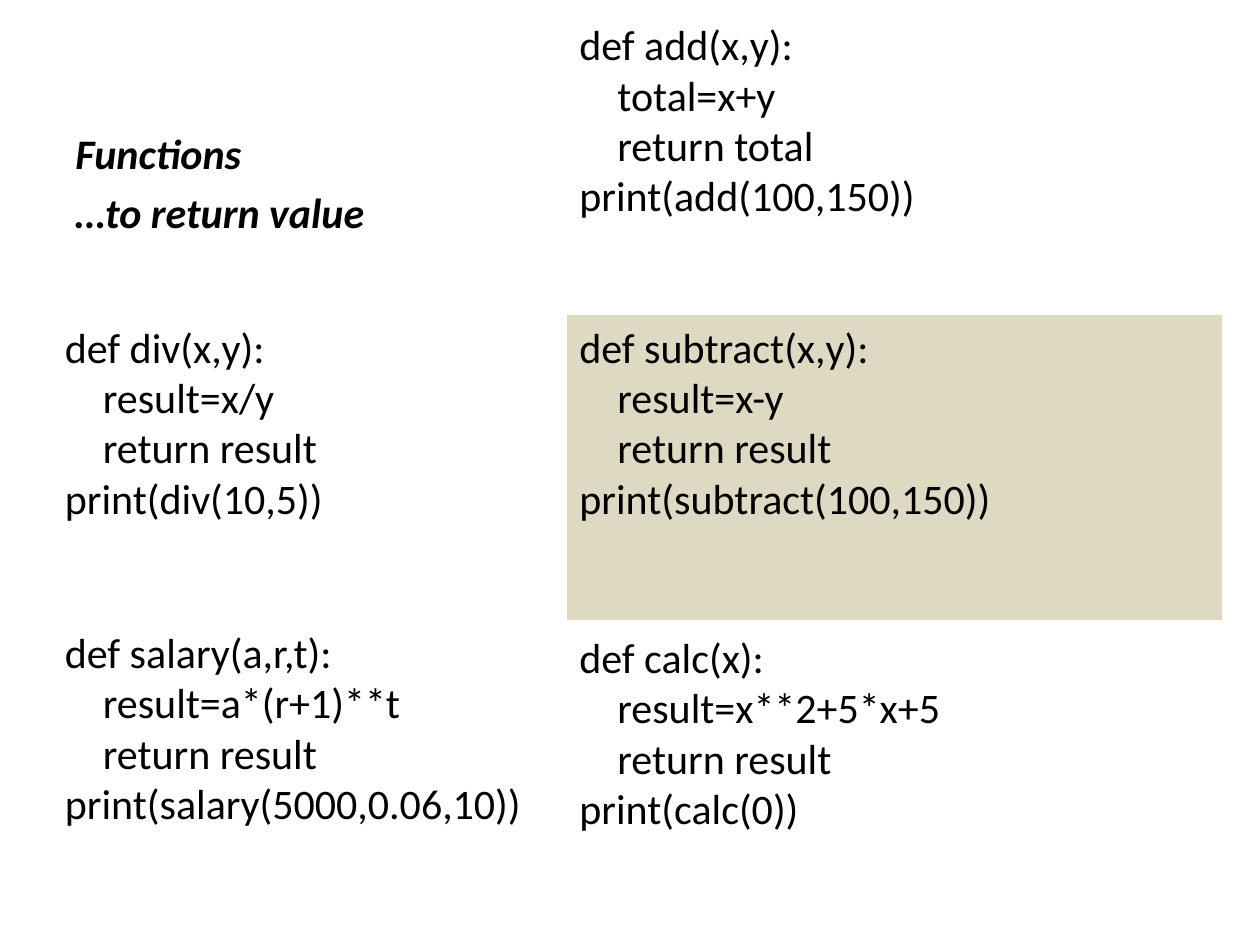
from pptx import Presentation
from pptx.dml.color import RGBColor
from pptx.enum.shapes import MSO_SHAPE
from pptx.enum.text import MSO_ANCHOR, PP_ALIGN
from pptx.util import Pt

COLORS = {"text": "000000", "tan": "DDD9C3", "white": "FFFFFF"}
FONT, SIZE, CODE_INDENT = "Calibri", 24, 21.7
LEFT_COLUMN, RIGHT_COLUMN = (30, 294), (324, 374.4)
ROW_HEIGHT = 174.4


def write_lines(frame, lines, gap=0, emphasis=False):
    """Fill a text frame, one paragraph per (text, indent) pair."""
    frame.word_wrap = True
    frame.vertical_anchor = MSO_ANCHOR.TOP
    for number, (text, indent) in enumerate(lines):
        line = frame.add_paragraph() if number else frame.paragraphs[0]
        line.text = text
        line.alignment = PP_ALIGN.LEFT
        line.space_before = Pt(gap if number else 0)
        line.font.name = FONT
        line.font.size = Pt(SIZE)
        line.font.bold = line.font.italic = emphasis
        line.font.color.rgb = RGBColor.from_string(COLORS["text"])
        if indent:
            properties = line._p.get_or_add_pPr()
            properties.set("marL", str(Pt(indent)))
            properties.set("indent", "0")


def add_heading(slide, lines):
    """Add the bold italic heading at the upper left."""
    heading = slide.shapes.add_textbox(Pt(36), Pt(69.5), Pt(228), Pt(110.5))
    write_lines(heading.text_frame, [(text, 0) for text in lines], 4.8, True)


def add_example(slide, column, top, head, body, call, fill=None):
    """Add a function definition with its indented body and its call."""
    left, width = column
    area = Pt(left), Pt(top), Pt(width), Pt(ROW_HEIGHT)
    if fill:
        example = slide.shapes.add_shape(MSO_SHAPE.RECTANGLE, *area)
        example.shadow.inherit = False
        example.fill.solid()
        example.fill.fore_color.rgb = RGBColor.from_string(COLORS[fill])
        example.line.fill.background()
    else:
        example = slide.shapes.add_textbox(*area)
    body_lines = [(text, CODE_INDENT) for text in body]
    write_lines(example.text_frame, [(head, 0), *body_lines, (call, 0)])


def main():
    """Build the slide and save it."""
    deck = Presentation()
    deck.slide_width, deck.slide_height = Pt(720), Pt(540)
    slide = deck.slides.add_slide(deck.slide_layouts[6])
    add_heading(slide, ["Functions", "…to return value"])
    examples = [
        (RIGHT_COLUMN, 7.2, "def add(x,y):",
         ["total=x+y", "return total"], "print(add(100,150))"),
        (RIGHT_COLUMN, 180, "def subtract(x,y):",
         ["result=x-y", "return result"], "print(subtract(100,150))", "tan"),
        (RIGHT_COLUMN, 357.2, "def calc(x):",
         ["result=x**2+5*x+5", "return result"], "print(calc(0))", "white"),
        (LEFT_COLUMN, 180, "def div(x,y):",
         ["result=x/y", "return result"], "print(div(10,5))", "white"),
        (LEFT_COLUMN, 354.4, "def salary(a,r,t):",
         ["result=a*(r+1)**t", "return result"],
         "print(salary(5000,0.06,10))", "white"),
    ]
    for example in examples:
        add_example(slide, *example)
    deck.save("out.pptx")


main()
